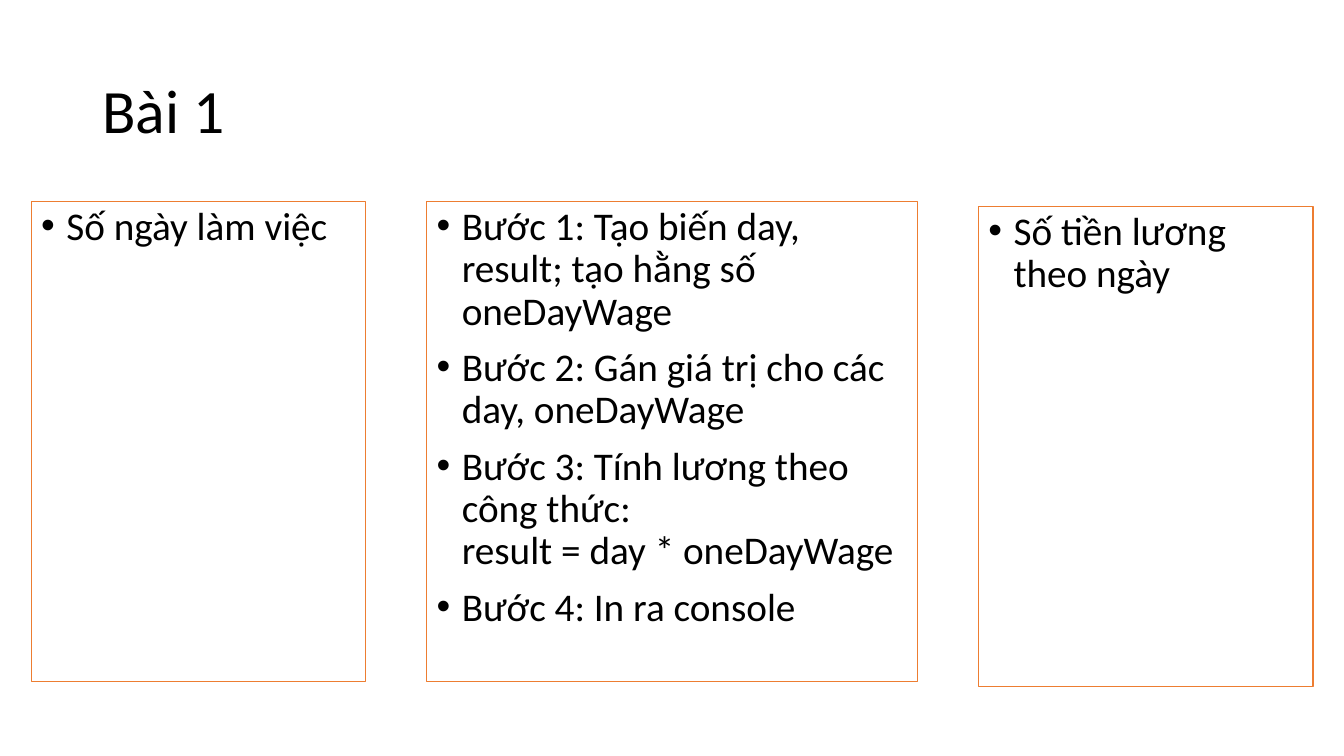
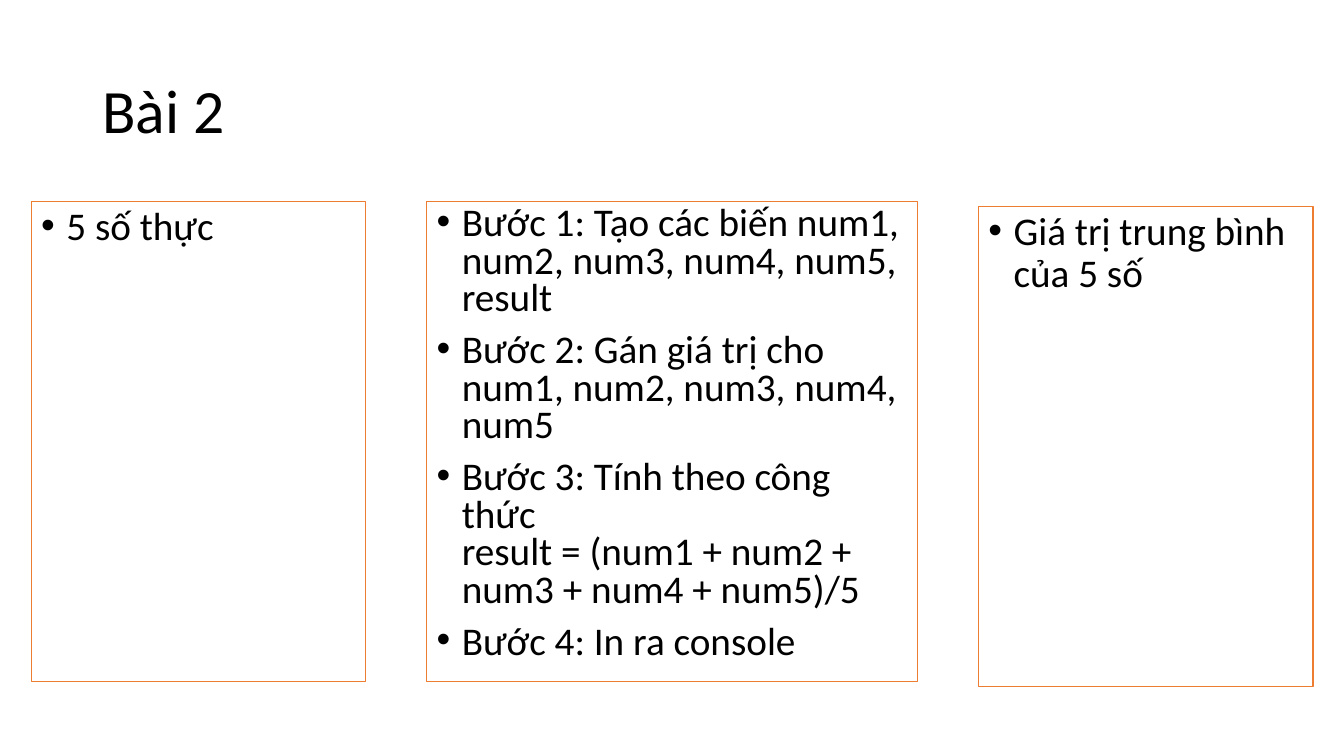
from pptx import Presentation
from pptx.dml.color import RGBColor
from pptx.enum.shapes import MSO_SHAPE
from pptx.enum.text import MSO_ANCHOR, PP_ALIGN
from pptx.oxml.ns import qn
from pptx.util import Pt
from lxml import etree

RECTANGLE = MSO_SHAPE.RECTANGLE
TOP = MSO_ANCHOR.TOP
MIDDLE = MSO_ANCHOR.MIDDLE
LEFT = PP_ALIGN.LEFT


def color(value):
    return RGBColor.from_string(value)


class Lesson:
    font = "Calibri"
    ink = "000000"
    paper = "FFFFFF"
    accent = "ED7D31"
    indent = 18
    left = 22.3
    gap = 43.5
    height = 342.7
    columns = ((239, 144), (350.6, 144), (239, 147.6))

    def __init__(self):
        self.deck = Presentation()
        self.deck.slide_width = Pt(960)
        self.deck.slide_height = Pt(540)

    def add_page(self, title, contents, step_spacing):
        self.page = self.deck.slides.add_slide(self.deck.slide_layouts[6])
        self.add_title(title)
        left = self.left
        spacings = (0.9, step_spacing, 0.9)
        for (width, top), items, spacing in zip(self.columns, contents, spacings):
            self.add_panel(left, top, width, items, spacing)
            left += width + self.gap

    def set_text(self, box, text, size, anchor, spacing):
        frame = box.text_frame
        frame.word_wrap = True
        frame.vertical_anchor = anchor
        frame.text = text
        for para in frame.paragraphs:
            para.alignment = LEFT
            para.line_spacing = spacing
            for span in para.runs:
                span.font.name = self.font
                span.font.size = Pt(size)
                span.font.color.rgb = color(self.ink)
        return frame.paragraphs

    def add_title(self, text):
        box = self.page.shapes.add_textbox(Pt(66), Pt(28.75), Pt(828), Pt(104.4))
        self.set_text(box, text, 44, MIDDLE, 0.9)

    def add_panel(self, left, top, width, items, spacing):
        box = self.page.shapes.add_shape(
            RECTANGLE, Pt(left), Pt(top), Pt(width), Pt(self.height))
        box.shadow.inherit = False
        box.fill.solid()
        box.fill.fore_color.rgb = color(self.paper)
        box.line.color.rgb = color(self.accent)
        box.line.width = Pt(1)
        for para in self.set_text(box, "\n".join(items), 28, TOP, spacing):
            para.space_before = Pt(10)
            self.add_bullet(para)

    def add_bullet(self, para):
        properties = para._p.get_or_add_pPr()
        properties.set("marL", str(Pt(self.indent)))
        properties.set("indent", str(-Pt(self.indent)))
        etree.SubElement(properties, qn("a:buFont")).set("typeface", "Arial")
        etree.SubElement(properties, qn("a:buChar")).set("char", "•")


lesson = Lesson()
lesson.add_page("Bài 1", (
    ["Số ngày làm việc"],
    ["Bước 1: Tạo biến day, result; tạo hằng số oneDayWage",
     "Bước 2: Gán giá trị cho các day, oneDayWage",
     "Bước 3: Tính lương theo công thức: \vresult = day * oneDayWage",
     "Bước 4: In ra console"],
    ["Số tiền lương theo ngày"],
), 0.9)
lesson.add_page("Bài 2", (
    ["5 số thực"],
    ["Bước 1: Tạo các biến num1, num2, num3, num4, num5, result",
     "Bước 2: Gán giá trị cho num1, num2, num3, num4, num5",
     "Bước 3: Tính theo công thức\vresult = (num1 + num2 + num3 + num4 + num5)/5",
     "Bước 4: In ra console"],
    ["Giá trị trung bình của 5 số"],
), 0.8)
lesson.deck.save("out.pptx")
